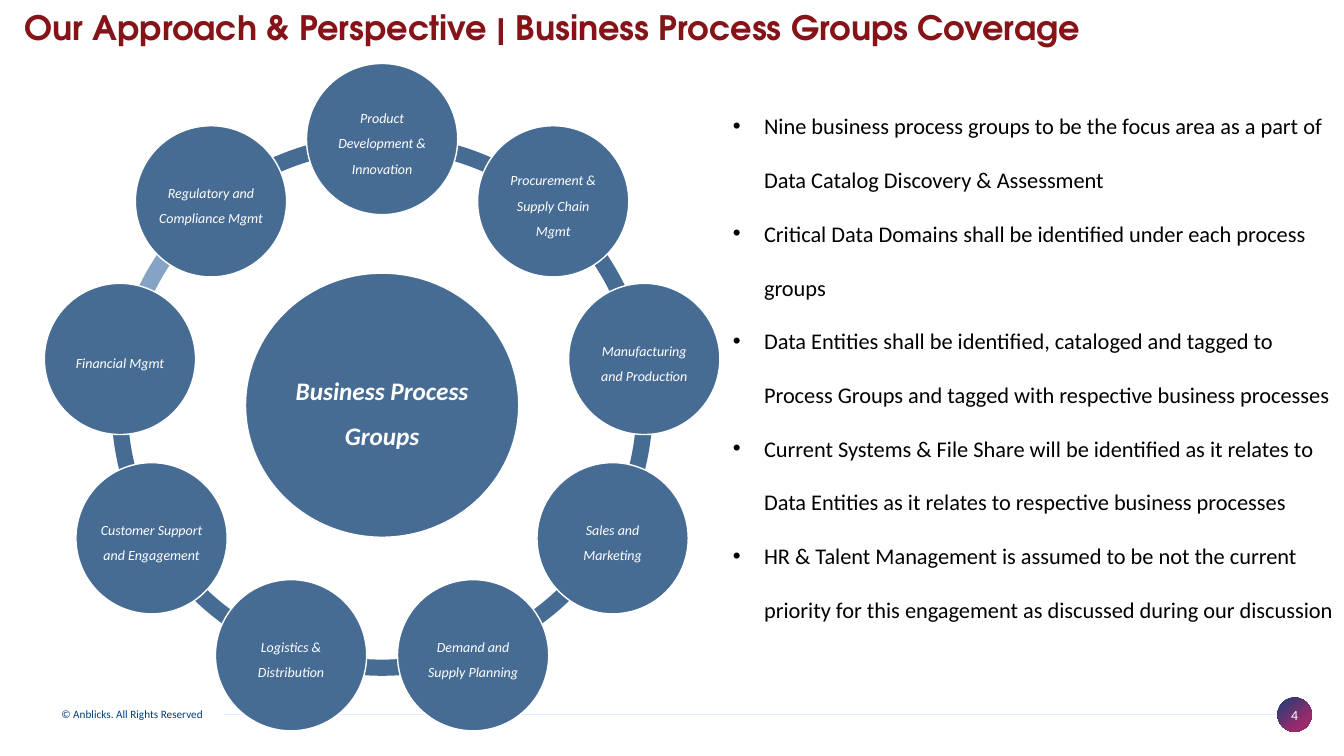
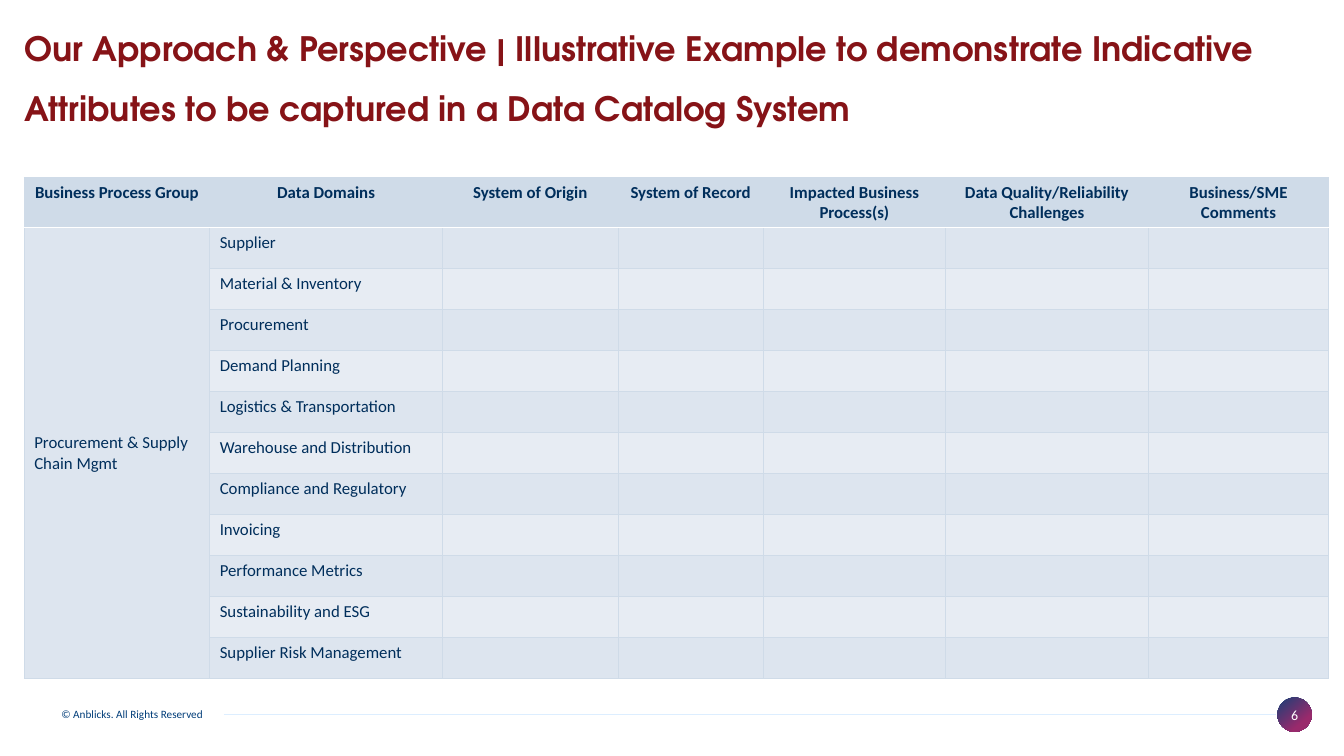
from math import cos, radians, sin

from lxml.etree import SubElement
from pptx import Presentation
from pptx.dml.color import RGBColor
from pptx.enum.shapes import MSO_CONNECTOR, MSO_SHAPE
from pptx.enum.text import MSO_ANCHOR, PP_ALIGN
from pptx.oxml.ns import qn
from pptx.util import Inches, Pt

MAROON = RGBColor(0x86, 0x13, 0x17)
NAVY = RGBColor(0x00, 0x3D, 0x79)
INK = RGBColor(0x00, 0x2E, 0x5B)
INDIGO = RGBColor(0x19, 0x40, 0x77)
PLUM = RGBColor(0x99, 0x2A, 0x6C)
PALE = RGBColor(0xDD, 0xEE, 0xFF)
STEEL = RGBColor(0x47, 0x6C, 0x94)
MIST = RGBColor(0x85, 0xA3, 0xC4)
HEAD = RGBColor(0xCF, 0xDB, 0xE8)
BAND = RGBColor(0xDD, 0xE5, 0xEF)
PLAIN = RGBColor(0xE7, 0xEC, 0xF3)
WHITE = RGBColor(0xFF, 0xFF, 0xFF)
BLACK = RGBColor(0x00, 0x00, 0x00)

BODY_FONT = "Calibri"
TITLE_FONT = "TeX Gyre Adventor"

COPYRIGHT = "© Anblicks. All Rights Reserved"
COVERAGE_TITLE = "Our Approach & Perspective | Business Process Groups Coverage"
EXAMPLE_TITLE = (
    "Our Approach & Perspective | Illustrative Example to demonstrate "
    "Indicative Attributes to be captured in a Data Catalog System"
)

HUB = "Business Process Groups"
# Clockwise from the top of the ring
GROUPS = [
    "Product Development & Innovation",
    "Procurement & Supply Chain Mgmt",
    "Manufacturing and Production",
    "Sales and Marketing",
    "Demand and Supply Planning",
    "Logistics & Distribution",
    "Customer Support and Engagement",
    "Financial Mgmt",
    "Regulatory and Compliance Mgmt",
]
LIGHT_ARC = "Financial Mgmt"

POINTS = [
    "Nine business process groups to be the focus area as a part of "
    "Data Catalog Discovery & Assessment",
    "Critical Data Domains shall be identified under each process groups",
    "Data Entities shall be identified, cataloged and tagged to Process Groups "
    "and tagged with respective business processes",
    "Current Systems & File Share will be identified as it relates to "
    "Data Entities as it relates to respective business processes",
    "HR & Talent Management is assumed to be not the current priority "
    "for this engagement as discussed during our discussion",
]

COLUMNS = [
    ("Business Process Group", 1.84),
    ("Data Domains", 2.31),
    ("System of Origin", 1.74),
    ("System of Record", 1.44),
    ("Impacted Business Process(s)", 1.81),
    ("Data Quality/Reliability Challenges", 2.01),
    ("Business/SME Comments", 1.79),
]
TABLE_GROUP = "Procurement & Supply Chain Mgmt"
DOMAINS = [
    "Supplier",
    "Material & Inventory",
    "Procurement",
    "Demand Planning",
    "Logistics & Transportation",
    "Warehouse and Distribution",
    "Compliance and Regulatory",
    "Invoicing",
    "Performance Metrics",
    "Sustainability and ESG",
    "Supplier Risk Management",
]


def style(para, size, color, font=BODY_FONT, bold=False, italic=False):
    for run in para.runs:
        run.font.name = font
        run.font.size = Pt(size)
        run.font.color.rgb = color
        run.font.bold = bold
        run.font.italic = italic


def set_margins(frame, inset):
    frame.margin_left = frame.margin_right = Inches(inset)
    frame.margin_top = frame.margin_bottom = Inches(inset)


def add_text(slide, left, top, width, height):
    box = slide.shapes.add_textbox(
        Inches(left), Inches(top), Inches(width), Inches(height)
    )
    box.text_frame.word_wrap = True
    return box.text_frame


def add_preset(slide, kind, left, top, width, height, color=None):
    shape = slide.shapes.add_shape(
        kind, Inches(left), Inches(top), Inches(width), Inches(height)
    )
    shape.shadow.inherit = False
    shape.line.fill.background()
    if color is not None:
        shape.fill.solid()
        shape.fill.fore_color.rgb = color
    return shape


def add_footer(slide, number):
    badge = add_preset(slide, MSO_SHAPE.OVAL, 12.67, 6.92, 0.34, 0.34)
    badge.fill.gradient()
    badge.fill.gradient_angle = 310
    for stop, color, place in zip(
        badge.fill.gradient_stops, (INDIGO, PLUM), (0, 0.72)
    ):
        stop.color.rgb = color
        stop.position = place
    frame = badge.text_frame
    set_margins(frame, 0)
    frame.word_wrap = False
    frame.vertical_anchor = MSO_ANCHOR.MIDDLE
    frame.text = str(number)
    frame.paragraphs[0].alignment = PP_ALIGN.CENTER
    style(frame.paragraphs[0], 10, WHITE)

    frame = add_text(slide, 0.51, 6.97, 1.92, 0.24)
    frame.text = COPYRIGHT
    style(frame.paragraphs[0], 8, NAVY)

    rule = slide.shapes.add_connector(
        MSO_CONNECTOR.STRAIGHT,
        Inches(2.22), Inches(7.09), Inches(12.66), Inches(7.09),
    )
    rule.line.color.rgb = PALE
    rule.line.width = Pt(1)
    SubElement(rule._element.spPr, qn("a:effectLst"))


def add_slide(deck, number, title, height, spacing):
    """Add a blank slide with the shared footer and title style."""
    slide = deck.slides.add_slide(deck.slide_layouts[6])
    add_footer(slide, number)
    frame = add_text(slide, 0.24, 0.11, 12.69, height)
    set_margins(frame, 0)
    frame.vertical_anchor = MSO_ANCHOR.MIDDLE
    frame.text = title
    frame.paragraphs[0].line_spacing = spacing
    style(frame.paragraphs[0], 24, MAROON, TITLE_FONT, bold=True)
    return slide


def add_disc(slide, x, y, width, height, text, size, inset, bold=False):
    """Add a labelled ellipse centred on x, y."""
    disc = add_preset(
        slide, MSO_SHAPE.OVAL, x - width / 2, y - height / 2, width, height, STEEL
    )
    disc.line.color.rgb = WHITE
    disc.line.width = Pt(1)
    frame = disc.text_frame
    frame.word_wrap = True
    set_margins(frame, inset)
    frame.vertical_anchor = MSO_ANCHOR.MIDDLE
    frame.text = text
    para = frame.paragraphs[0]
    para.alignment = PP_ALIGN.CENTER
    para.line_spacing = 1.5
    para.space_after = Pt(size * 0.35)
    style(para, size, WHITE, bold=bold, italic=True)


def add_ring(slide):
    x, y, ring, orbit, node = 3.79, 4.02, 5.37, 2.64, 1.5
    step = 360 / len(GROUPS)
    angles = [270 + i * step for i in range(len(GROUPS))]
    for name, angle in zip(GROUPS, angles):
        color = MIST if name == LIGHT_ARC else STEEL
        arc = add_preset(
            slide, MSO_SHAPE.BLOCK_ARC, x - ring / 2, y - ring / 2, ring, ring, color
        )
        # Angles are stored in 60000ths of a degree, adjustments in 100000ths
        arc.adjustments[0] = angle % 360 * 0.6
        arc.adjustments[1] = (angle + step) % 360 * 0.6
        arc.adjustments[2] = 0.03
    add_disc(slide, x, y, 2.71, 2.62, HUB, 18, 0.03, bold=True)
    for name, angle in zip(GROUPS, angles):
        turn = radians(angle)
        add_disc(
            slide, x + orbit * cos(turn), y + orbit * sin(turn),
            node, node, name, 10, 0.01,
        )


def add_points(slide):
    frame = add_text(slide, 7.17, 0.8, 6.16, 6.33)
    for i, text in enumerate(POINTS):
        para = frame.paragraphs[0] if i == 0 else frame.add_paragraph()
        para.text = text
        para.line_spacing = 2.0
        props = para._p.get_or_add_pPr()
        props.set("marL", str(Inches(0.31)))
        props.set("indent", str(-Inches(0.31)))
        SubElement(props, qn("a:buFont")).set("typeface", "Arial")
        SubElement(props, qn("a:buChar")).set("char", "•")
        style(para, 16, BLACK)


def set_border(cell, side, color, width):
    line = SubElement(cell._tc.get_or_add_tcPr(), qn("a:ln" + side))
    line.set("w", str(Pt(width)))
    fill = SubElement(line, qn("a:solidFill"))
    SubElement(fill, qn("a:srgbClr")).set("val", str(color))


def fill_cell(cell, row, text):
    for side in "LRTB":
        split = (row, side) in ((0, "B"), (1, "T"))
        set_border(cell, side, WHITE if split else HEAD, 1 if split else 0.5)
    cell.fill.solid()
    cell.fill.fore_color.rgb = HEAD if row == 0 else BAND if row % 2 else PLAIN
    cell.text = text
    para = cell.text_frame.paragraphs[0]
    if row == 0:
        para.alignment = PP_ALIGN.CENTER
    style(para, 12, INK, bold=row == 0)


def add_domains(slide):
    height, top_row = 4.97, 0.5
    blanks = [""] * (len(COLUMNS) - 2)
    rows = [[name for name, _ in COLUMNS]]
    rows += [["", domain, *blanks] for domain in DOMAINS]
    rows[1][0] = TABLE_GROUP
    table = slide.shapes.add_table(
        len(rows), len(COLUMNS),
        Inches(0.24), Inches(1.76), Inches(12.94), Inches(height),
    ).table
    table.horz_banding = False
    for column, (_, width) in zip(table.columns, COLUMNS):
        column.width = Inches(width)
    for i, row in enumerate(table.rows):
        row.height = Inches((height - top_row) / len(DOMAINS) if i else top_row)
        for cell, text in zip(row.cells, rows[i]):
            fill_cell(cell, i, text)
    group = table.cell(1, 0)
    group.merge(table.cell(len(DOMAINS), 0))
    group.vertical_anchor = MSO_ANCHOR.MIDDLE


def main():
    deck = Presentation()
    deck.slide_width = Inches(13.33)
    deck.slide_height = Inches(7.5)

    coverage = add_slide(deck, 4, COVERAGE_TITLE, 0.36, 0.9)
    add_ring(coverage)
    add_points(coverage)

    example = add_slide(deck, 6, EXAMPLE_TITLE, 1.13, 1.5)
    add_domains(example)

    deck.save("out.pptx")


if __name__ == "__main__":
    main()
